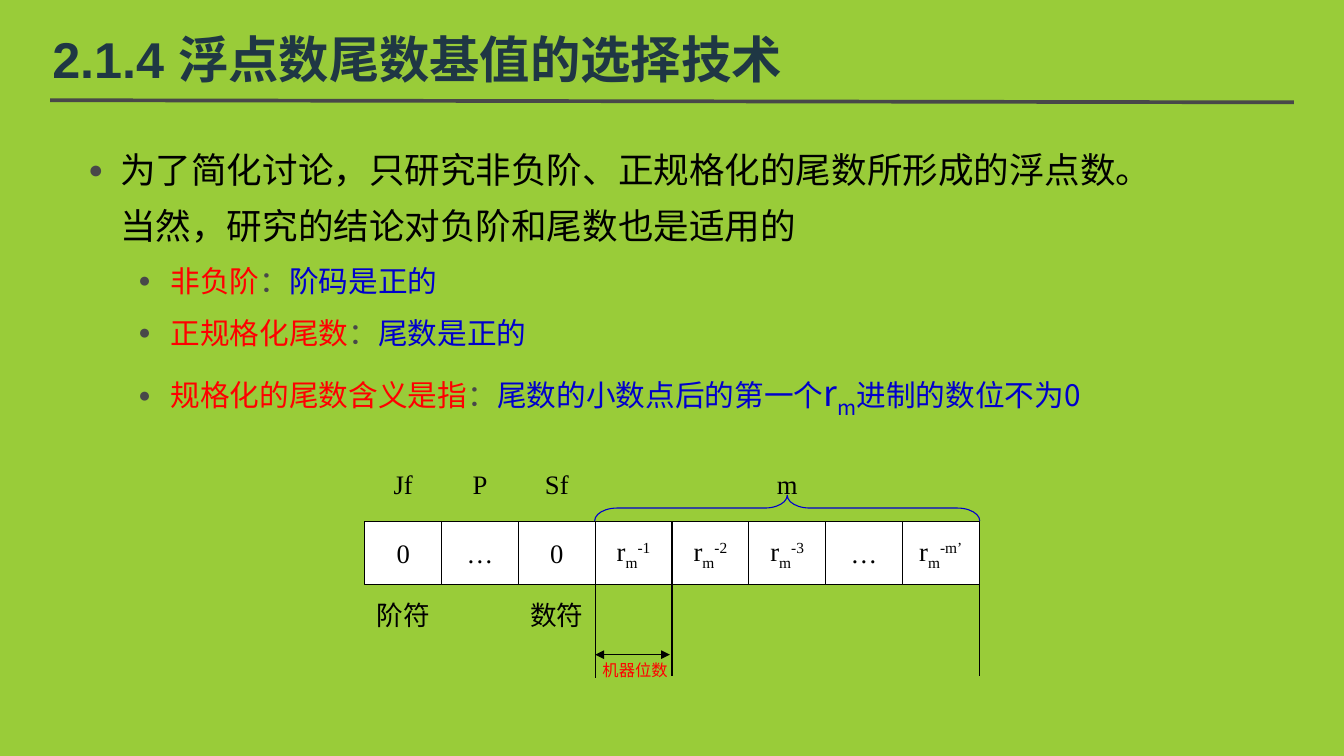
from dataclasses import dataclass

from lxml.etree import SubElement
from pptx import Presentation
from pptx.dml.color import RGBColor
from pptx.enum.shapes import MSO_CONNECTOR, MSO_SHAPE
from pptx.enum.text import MSO_ANCHOR, PP_ALIGN
from pptx.oxml.ns import qn
from pptx.util import Inches, Pt


@dataclass(frozen=True)
class Theme:
    back: str = "99CC39"
    title: str = "1F3744"
    grey: str = "484849"
    black: str = "000000"
    white: str = "FFFFFF"
    red: str = "FF0000"
    blue: str = "0000CC"
    sans: str = "Arial"
    serif: str = "Times New Roman"
    cjk: str = "Noto Sans CJK SC"
    title_size: int = 34
    body_size: int = 24
    sub_size: int = 20
    cell_size: int = 18
    note_size: int = 11
    thin: float = 0.75
    thick: float = 2.5


class SlideBuilder:
    def __init__(self, prs, theme):
        self.t = theme
        self.s = prs.slides.add_slide(prs.slide_layouts[6])
        fill = self.s.background.fill
        fill.solid()
        fill.fore_color.rgb = RGBColor.from_string(theme.back)

    def run(self, p, text, color, size, name, bold=False, base=0):
        r = p.add_run()
        r.text = text
        fmt = {"size": Pt(size), "bold": bold, "name": name}
        for key, value in fmt.items():
            setattr(r.font, key, value)
        r.font.color.rgb = RGBColor.from_string(color)
        rPr = r.font._element
        ea = SubElement(rPr, qn("a:ea"))
        ea.set("typeface", self.t.cjk)
        rPr.find(qn("a:latin")).addnext(ea)
        if base:
            rPr.set("baseline", str(base * 1000))

    def box(self, x, y, w, h, **frame):
        sp = self.s.shapes.add_textbox(*map(Inches, (x, y, w, h)))
        tf = sp.text_frame
        for key, value in {"word_wrap": True, **frame}.items():
            setattr(tf, key, value)
        return tf

    def bullet(self, p, left, first):
        fmt = {"line_spacing": 1.3, "space_before": Pt(0 if first else 2),
               "space_after": Pt(2)}
        for key, value in fmt.items():
            setattr(p, key, value)
        pPr = p._p.get_or_add_pPr()
        pPr.set("marL", str(Inches(left)))
        pPr.set("indent", str(Inches(-0.3)))
        color = SubElement(pPr, qn("a:buClr"))
        SubElement(color, qn("a:srgbClr")).set("val", self.t.grey)
        for tag, key, value in (("a:buSzPct", "val", "70000"),
                                ("a:buFont", "typeface", self.t.sans),
                                ("a:buChar", "char", "●")):
            SubElement(pPr, qn(tag)).set(key, value)

    def centred(self, tf, parts):
        tf.vertical_anchor = MSO_ANCHOR.MIDDLE
        p = tf.paragraphs[0]
        p.alignment = PP_ALIGN.CENTER
        for text, base in parts:
            self.run(p, text, self.t.black, self.t.cell_size, self.t.serif, base=base)

    def label(self, x, y, w, h, text):
        self.centred(self.box(x, y, w, h), [(text, 0)])

    def shape(self, kind, x, y, w, h, color, fill=None):
        sp = self.s.shapes.add_shape(kind, *map(Inches, (x, y, w, h)))
        sp.shadow.inherit = False
        sp.line.color.rgb = RGBColor.from_string(color)
        sp.line.width = Pt(self.t.thin)
        if fill:
            sp.fill.solid()
            sp.fill.fore_color.rgb = RGBColor.from_string(fill)
        else:
            sp.fill.background()
        return sp

    def cell(self, x, y, w, h, parts):
        sp = self.shape(MSO_SHAPE.RECTANGLE, x, y, w, h, self.t.black, self.t.white)
        self.centred(sp.text_frame, parts)

    def line(self, x1, y1, x2, y2, color, width, arrows=False):
        ln = self.s.shapes.add_connector(MSO_CONNECTOR.STRAIGHT,
                                         *map(Inches, (x1, y1, x2, y2)))
        ln.line.color.rgb = RGBColor.from_string(color)
        ln.line.width = Pt(width)
        if arrows:
            for tag in ("a:headEnd", "a:tailEnd"):
                SubElement(ln.line._get_or_add_ln(), qn(tag)).set("type", "triangle")
        SubElement(ln._element.spPr, qn("a:effectLst"))


def main():
    prs = Presentation()
    prs.slide_width, prs.slide_height = Inches(12.6), Inches(7.09)
    t = Theme()
    b = SlideBuilder(prs, t)

    # Title and rule
    b.line(0.47, 0.94, 12.13, 0.96, t.grey, t.thick)
    margins = dict.fromkeys(
        ("margin_left", "margin_top", "margin_right", "margin_bottom"), 0)
    tf = b.box(0.49, 0.21, 9.19, 0.67, vertical_anchor=MSO_ANCHOR.MIDDLE, **margins)
    b.run(tf.paragraphs[0], "2.1.4 浮点数尾数基值的选择技术",
          t.title, t.title_size, t.sans, bold=True)

    # Bulleted text
    tf = b.box(0.73, 1.22, 9.9, 2.67)
    p = tf.paragraphs[0]
    b.bullet(p, 0.3, True)
    b.run(p, "为了简化讨论，只研究非负阶、正规格化的尾数所形成的浮点数。"
             "当然，研究的结论对负阶和尾数也是适用的", t.black, t.body_size, t.cjk)
    terms = [
        ("非负阶", [("阶码是正的", t.sub_size, 0)]),
        ("正规格化尾数", [("尾数是正的", t.sub_size, 0)]),
        ("规格化的尾数含义是指", [("尾数的小数点后的第一个", t.sub_size, 0),
                        ("r", t.body_size, 0), ("m", t.body_size, -25),
                        ("进制的数位不为0", t.sub_size, 0)]),
    ]
    for term, meaning in terms:
        p = tf.add_paragraph()
        p.level = 1
        b.bullet(p, 0.77, False)
        b.run(p, term, t.red, t.sub_size, t.cjk)
        b.run(p, "：", t.grey, t.sub_size, t.cjk)
        for text, size, base in meaning:
            b.run(p, text, t.blue, size, t.cjk, base=base)

    # Row of number fields
    left, top, w, h = 3.42, 4.89, 0.72, 0.59

    def column(i):
        return left + i * w

    def digit(power):
        return [("r", 0), ("m", -25), (power, 30)]

    zero, dots = [("0", 0)], [("…", 0)]
    fields = [zero, dots, zero, digit("-1"), digit("-2"), digit("-3"),
              dots, digit("-m’")]
    for i, parts in enumerate(fields):
        b.cell(column(i), top, w, h, parts)

    # Field names above and below the row
    for i, y, text in ((0, 4.24, "Jf"), (1, 4.24, "P"), (2, 4.24, "Sf"),
                       (5, 4.24, "m"), (0, 5.47, "阶符"), (2, 5.47, "数符")):
        b.label(column(i), y, w, h, text)

    # Brace over the mantissa
    brace = b.shape(MSO_SHAPE.LEFT_BRACE, 7.26, 2.96, 0.24, 3.61, t.blue)
    brace.rotation = 90
    brace.adjustments[0] = 0.876

    # Width marks of one digit
    for i, bottom in ((3, 6.36), (4, 6.34), (8, 6.34)):
        b.line(column(i), top + h, column(i), bottom, t.black, t.thin)
    b.line(column(3), 6.14, column(4) - 0.02, 6.14, t.black, t.thin, arrows=True)
    tf = b.box(5.55, 6.14, 0.82, 0.29, word_wrap=False)
    b.run(tf.paragraphs[0], "机器位数", t.red, t.note_size, t.serif)

    prs.save("out.pptx")


if __name__ == "__main__":
    main()
